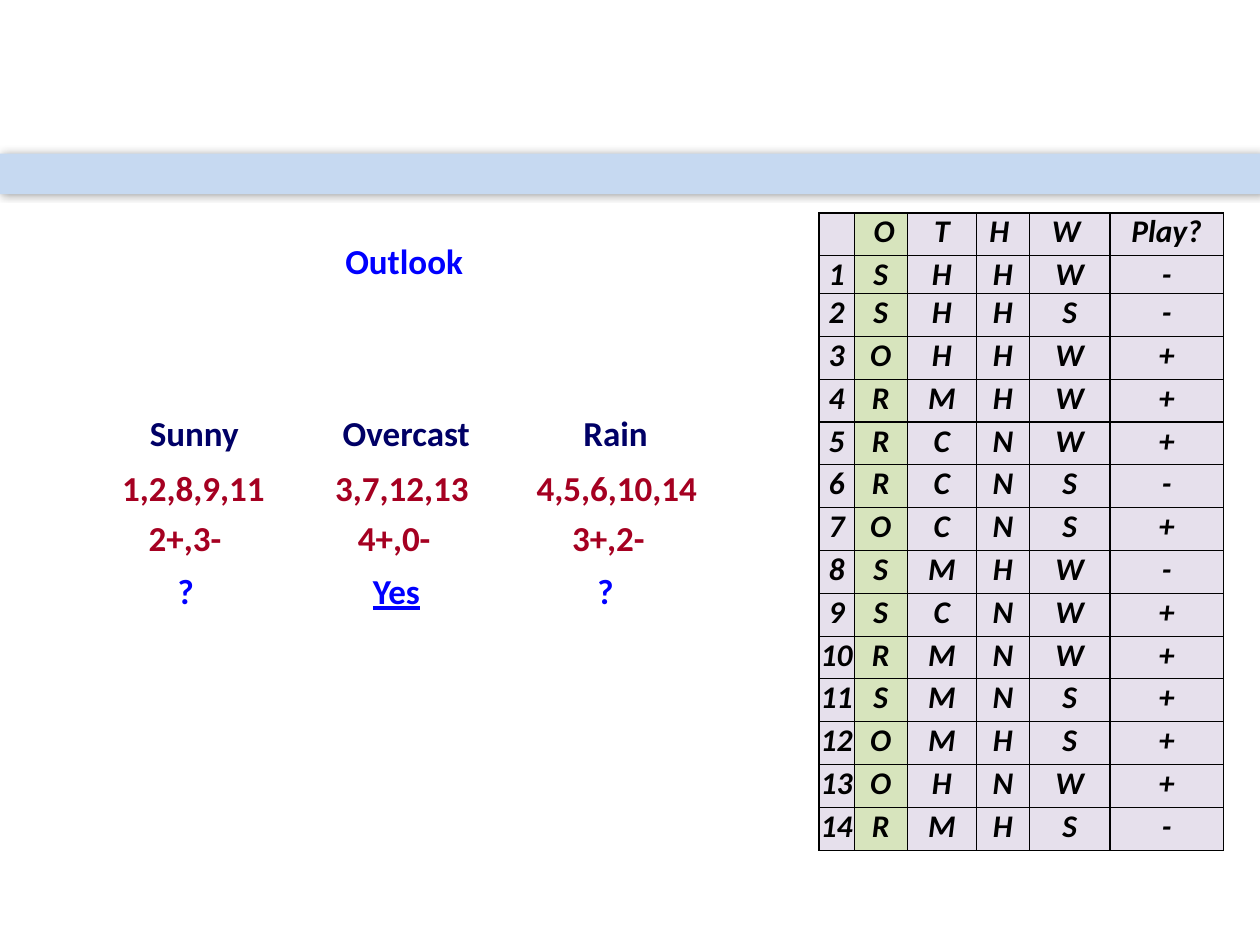
import pptx
import pptx.dml.color
import pptx.enum.shapes
import pptx.enum.text
import pptx.oxml
import pptx.util
from pptx.util import Inches

FONT = "Calibri"
BLUE, NAVY, RED, BLACK = "0000FF", "000066", "A50021", "000000"
BAND, LILAC, GREEN = "C6D9F1", "E6E0EC", "D7E4BD"

ROOT = ("Outlook", 2.69, 1.85, 1.22)
LABEL_HEIGHT = 0.42
# Each row: top, colour, then (text, left, width) for the three branches
BRANCH_ROWS = [
    (3.22, NAVY, [("Sunny", 1.14, 0.9), ("Overcast", 2.67, 1.25), ("Rain", 4.58, 0.68)]),
    (3.65, RED, [("1,2,8,9,11", 0.92, 1.5), ("3,7,12,13", 2.61, 1.4), ("4,5,6,10,14", 4.21, 1.66)]),
    (4.05, RED, [("2+,3-", 1.13, 0.81), ("4+,0-", 2.79, 0.81), ("3+,2-", 4.49, 0.81)]),
    (4.47, BLUE, [("?", 1.36, 0.24), ("Yes", 2.91, 0.54), ("?", 4.69, 0.32)]),
]

HEADER = ["", " O", "T", "H ", "W ", "Play?"]
# One word per day: outlook, temperature, humidity, wind, play
DAYS = ["SHHW-", "SHHS-", "OHHW+", "RMHW+", "RCNW+", "RCNS-", "OCNS+",
        "SMHW-", "SCNW+", "RMNW+", "SMNS+", "OMHS+", "OHNW+", "RMHS-"]
COLUMN_WIDTHS = [0.28, 0.42, 0.55, 0.42, 0.64, 0.9]
ROW_HEIGHT, FIRST_DAY_HEIGHT = 0.34, 0.3
OUTLOOK_COLUMN = 1


def rgb(value):
    return pptx.dml.color.RGBColor.from_string(value)


def write(frame, text, *, size, color, italic=False, underline=None, align=None, inset=0.05):
    """Fill a text frame or table cell with one bold paragraph."""
    frame.margin_left = frame.margin_right = Inches(inset)
    frame.margin_top = frame.margin_bottom = Inches(inset)
    frame.word_wrap = True
    para = frame.paragraphs[0]
    para.alignment = align
    span = para.add_run() if text else para
    if text:
        span.text = text
    font = span.font
    font.name, font.size, font.bold = FONT, pptx.util.Pt(size), True
    font.italic, font.underline = italic, underline
    font.color.rgb = rgb(color)


def add_label(shapes, text, left, top, width, color, underline=None):
    box = shapes.add_textbox(*map(Inches, (left, top, width, LABEL_HEIGHT)))
    write(box.text_frame, text, size=20, color=color, underline=underline)
    box.text_frame.auto_size = pptx.enum.text.MSO_AUTO_SIZE.SHAPE_TO_FIT_TEXT


def add_band(slide):
    band = slide.shapes.add_shape(pptx.enum.shapes.MSO_SHAPE.RECTANGLE,
                                  Inches(0), Inches(1.22), Inches(10), Inches(0.32))
    band.shadow.inherit = False
    band.fill.solid()
    band.fill.fore_color.rgb = rgb(BAND)
    band.line.fill.background()
    effects = band.element.spPr.find(pptx.oxml.ns.qn("a:effectLst"))
    effects.append(pptx.oxml.parse_xml(
        f'<a:outerShdw {pptx.oxml.ns.nsdecls("a")} blurRad="63500" dist="20320" dir="0"'
        ' rotWithShape="0"><a:srgbClr val="000000"><a:alpha val="38000"/></a:srgbClr>'
        '</a:outerShdw>'))


def add_borders(cell):
    properties = cell._tc.get_or_add_tcPr()
    for side in "LRTB":
        properties.append(pptx.oxml.parse_xml(
            f'<a:ln{side} {pptx.oxml.ns.nsdecls("a")} w="9525"><a:solidFill>'
            f'<a:srgbClr val="{BLACK}"/></a:solidFill></a:ln{side}>'))


def add_days_table(slide):
    rows = [HEADER] + [[str(number), *day] for number, day in enumerate(DAYS, 1)]
    heights = [ROW_HEIGHT, FIRST_DAY_HEIGHT] + [ROW_HEIGHT] * (len(DAYS) - 1)
    table = slide.shapes.add_table(
        len(rows), len(HEADER), Inches(6.5), Inches(1.69),
        Inches(sum(COLUMN_WIDTHS)), Inches(sum(heights))).table
    for column, width in zip(table.columns, COLUMN_WIDTHS):
        column.width = Inches(width)
    for row, height, values in zip(table.rows, heights, rows):
        row.height = Inches(height)
        for index, (cell, value) in enumerate(zip(row.cells, values)):
            cell.margin_left = cell.margin_right = cell.margin_top = cell.margin_bottom = 0
            add_borders(cell)
            cell.fill.solid()
            cell.fill.fore_color.rgb = rgb(GREEN if index == OUTLOOK_COLUMN else LILAC)
            write(cell.text_frame, value, size=18, color=BLACK, italic=True,
                  align=pptx.enum.text.PP_ALIGN.CENTER, inset=0)


def main():
    deck = pptx.Presentation()
    deck.slide_width, deck.slide_height = Inches(10), Inches(7.5)
    slide = deck.slides.add_slide(deck.slide_layouts[6])
    add_band(slide)
    text, left, top, width = ROOT
    add_label(slide.shapes, text, left, top, width, BLUE)
    branches = slide.shapes.add_group_shape()
    for top, color, labels in BRANCH_ROWS:
        for text, left, width in labels:
            add_label(branches.shapes, text, left, top, width, color,
                      underline=True if text == "Yes" else None)
    add_days_table(slide)
    deck.save("out.pptx")


if __name__ == "__main__":
    main()
